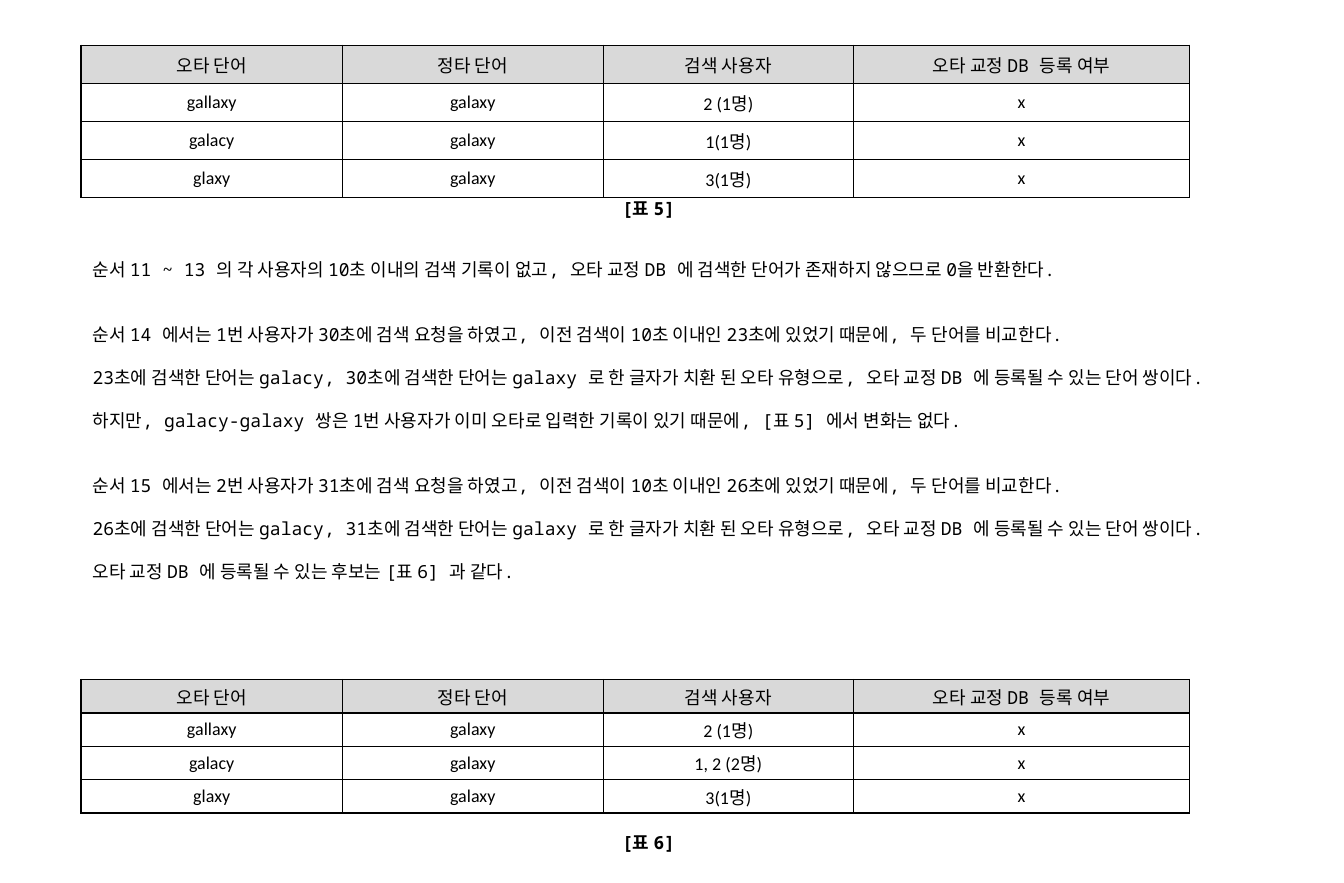
from lxml import etree
from pptx import Presentation
from pptx.dml.color import RGBColor
from pptx.enum.text import MSO_ANCHOR, PP_ALIGN
from pptx.oxml.ns import qn
from pptx.util import Cm, Pt

MIDDLE = MSO_ANCHOR.MIDDLE
CENTER = PP_ALIGN.CENTER
BLACK, HEADER_GRAY = "000000", "D9D9D9"
MONO, SANS = "Noto Sans Mono", "Calibri"
TEXT_SIZE = 11
LINE_PITCH = 13.17

HEADERS = ("오타 단어", "정타 단어", "검색 사용자", "오타 교정 DB 등록 여부")
COLUMN_WIDTHS = (5.64, 5.63, 5.4, 7.26)
WRONG_WORDS = ("gallaxy", "galacy", "glaxy")
CANDIDATE_TABLES = [
    {"caption": "[표 5]", "top": 0.98, "row_height": 0.82, "caption_top": 3.99,
     "users": ("2 (1명)", "1(1명)", "3(1명)")},
    {"caption": "[표 6]", "top": 14.66, "row_height": 0.72, "caption_top": 17.68,
     "users": ("2 (1명)", "1, 2 (2명)", "3(1명)")},
]
EXPLANATIONS = [
    ["순서 11 ~ 13 의 각 사용자의 10초 이내의 검색 기록이 없고, 오타 교정 DB 에 검색한 단어가 존재하지 않으므로 0을 반환한다."],
    ["순서 14 에서는 1번 사용자가 30초에 검색 요청을 하였고, 이전 검색이 10초 이내인 23초에 있었기 때문에, 두 단어를 비교한다.",
     "23초에 검색한 단어는 galacy, 30초에 검색한 단어는 galaxy 로 한 글자가 치환 된 오타 유형으로, 오타 교정 DB 에 등록될 수 있는 단어 쌍이다.",
     "하지만, galacy-galaxy 쌍은 1번 사용자가 이미 오타로 입력한 기록이 있기 때문에, [표 5] 에서 변화는 없다."],
    ["순서 15 에서는 2번 사용자가 31초에 검색 요청을 하였고, 이전 검색이 10초 이내인 26초에 있었기 때문에, 두 단어를 비교한다.",
     "26초에 검색한 단어는 galacy, 31초에 검색한 단어는 galaxy 로 한 글자가 치환 된 오타 유형으로, 오타 교정 DB 에 등록될 수 있는 단어 쌍이다.",
     "오타 교정 DB 에 등록될 수 있는 후보는 [표 6] 과 같다."],
]
LEFT = 1.75


def color(value):
    return RGBColor.from_string(value)


def add_run(paragraph, text, font_name=MONO, bold=False):
    run = paragraph.add_run()
    run.text = text
    run.font.name = font_name
    run.font.size = Pt(TEXT_SIZE)
    run.font.bold = bold
    run.font.color.rgb = color(BLACK)


def add_text_box(slide, left, top, width, height):
    text_frame = slide.shapes.add_textbox(Cm(left), Cm(top), Cm(width), Cm(height)).text_frame
    text_frame.word_wrap = True
    return text_frame


def add_borders(cell):
    properties = cell._tc.get_or_add_tcPr()
    for side in ("a:lnL", "a:lnR", "a:lnT", "a:lnB"):
        line = etree.SubElement(properties, qn(side), w=str(Pt(1)))
        fill = etree.SubElement(line, qn("a:solidFill"))
        etree.SubElement(fill, qn("a:srgbClr"), val=BLACK)


def format_cell(cell, text, is_header):
    cell.vertical_anchor = MIDDLE
    cell.margin_top = cell.margin_bottom = Cm(0.05)
    add_borders(cell)
    if is_header:
        cell.fill.solid()
        cell.fill.fore_color.rgb = color(HEADER_GRAY)
    else:
        cell.fill.background()
    paragraph = cell.text_frame.paragraphs[0]
    paragraph.alignment = CENTER
    add_run(paragraph, text, MONO if is_header else SANS)


def add_candidate_table(slide, content):
    rows = [HEADERS] + [
        (word, "galaxy", users, "x") for word, users in zip(WRONG_WORDS, content["users"])
    ]
    height = content["row_height"]
    table = slide.shapes.add_table(
        len(rows), len(HEADERS), Cm(LEFT), Cm(content["top"]),
        Cm(sum(COLUMN_WIDTHS)), Cm(height * len(rows)),
    ).table
    table.first_row = table.horz_banding = False
    for column, width in zip(table.columns, COLUMN_WIDTHS):
        column.width = Cm(width)
    for row_index, values in enumerate(rows):
        table.rows[row_index].height = Cm(height)
        for column_index, text in enumerate(values):
            format_cell(table.cell(row_index, column_index), text, row_index == 0)


def add_caption(slide, content):
    text_frame = add_text_box(slide, 13.18, content["caption_top"], 1.88, 0.81)
    paragraph = text_frame.paragraphs[0]
    paragraph.line_spacing = 1.3
    add_run(paragraph, content["caption"], bold=True)


def add_explanations(slide):
    text_frame = add_text_box(slide, LEFT, 5.46, 25.88, 8.25)
    for group_index, lines in enumerate(EXPLANATIONS):
        for line_index, text in enumerate(lines):
            if group_index == line_index == 0:
                paragraph = text_frame.paragraphs[0]
            else:
                paragraph = text_frame.add_paragraph()
                paragraph.space_before = Pt(LINE_PITCH * (1 if line_index else 2))
            add_run(paragraph, text)


def main():
    presentation = Presentation()
    presentation.slide_width = Cm(29.01)
    presentation.slide_height = Cm(19.05)
    slide = presentation.slides.add_slide(presentation.slide_layouts[6])
    for content in CANDIDATE_TABLES:
        add_candidate_table(slide, content)
        add_caption(slide, content)
    add_explanations(slide)
    presentation.save("out.pptx")


if __name__ == "__main__":
    main()
